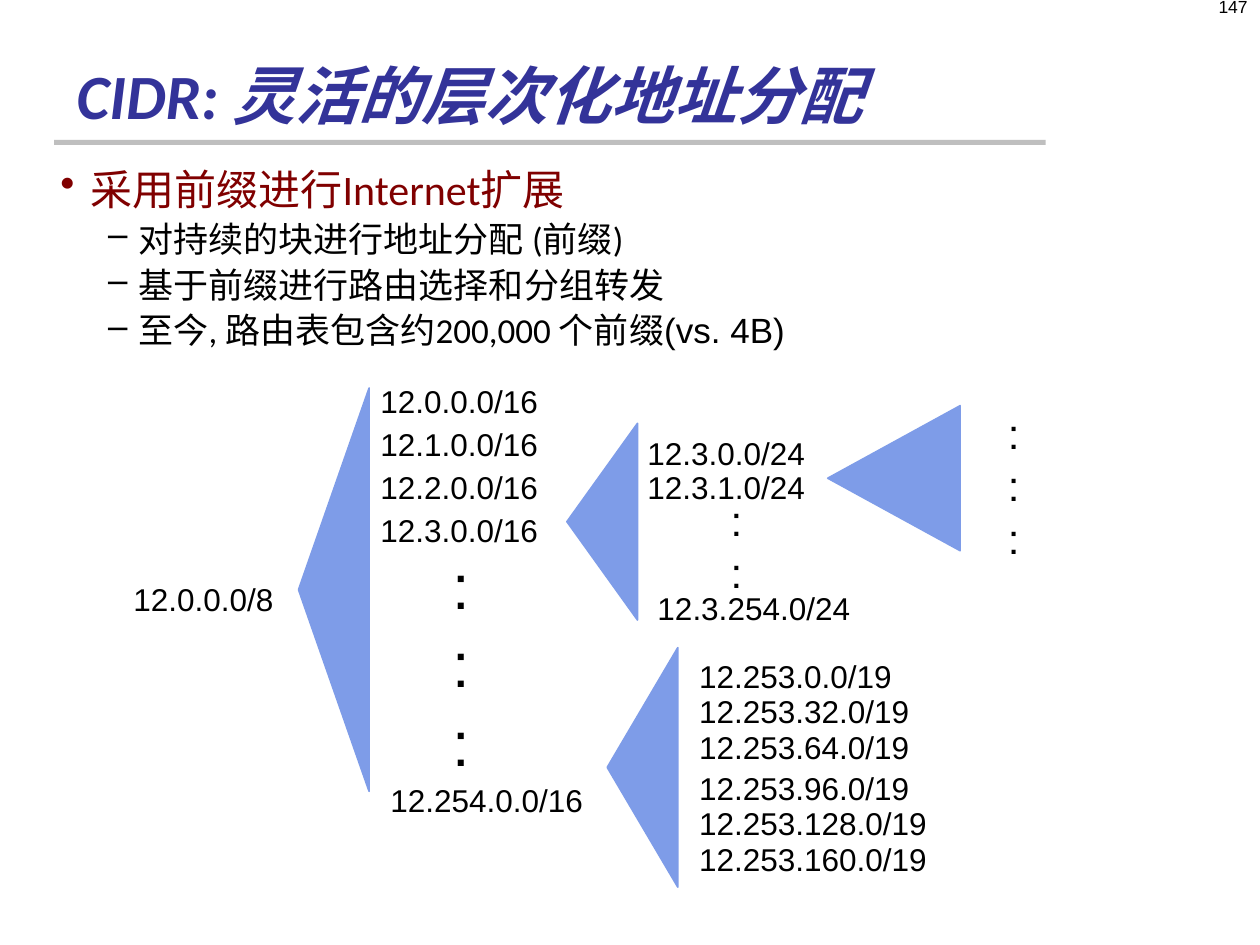
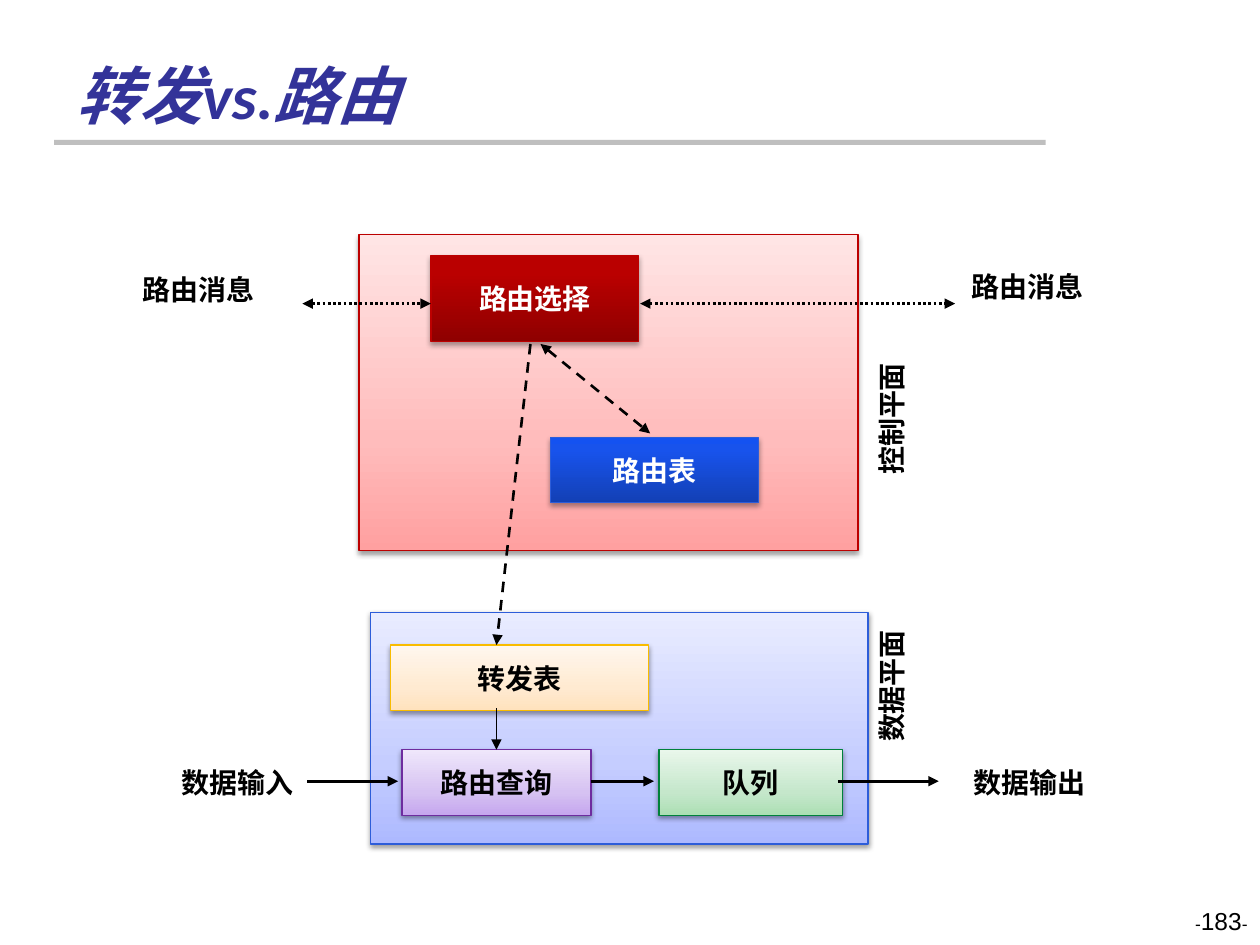
from copy import deepcopy
from dataclasses import dataclass

from lxml.etree import SubElement
from pptx import Presentation
from pptx.dml.color import RGBColor
from pptx.enum.dml import MSO_LINE
from pptx.enum.shapes import MSO_CONNECTOR, MSO_SHAPE
from pptx.enum.text import MSO_ANCHOR, PP_ALIGN
from pptx.oxml.ns import qn
from pptx.util import Emu, Pt

PX = 9144  # 100 px to the inch


@dataclass(frozen=True)
class Paint:
    """Gradient stops from bottom to top, outline and shadow strength."""
    stops: tuple
    outline: str
    shadow: tuple = (38, 1.6)


@dataclass(frozen=True)
class Theme:
    latin: str = "Calibri"
    sans: str = "Arial"
    cjk: str = "Noto Sans CJK SC"
    title: str = "333399"
    rule: str = "BFBFBF"
    heading: str = "800000"
    ink: str = "000000"
    white: str = "FFFFFF"
    wedge: str = "7E9CE8"
    title_size: int = 36
    heading_size: int = 24
    point_size: int = 20
    address_size: int = 18
    label_size: int = 16
    page_size: int = 14
    small_size: int = 10
    control: Paint = Paint(((0, "FFA0A0"), (35, "FFBCBC"), (100, "FFE5E5")), "BC0000")
    data: Paint = Paint(((0, "ADB9FF"), (35, "C5CDFF"), (100, "E9ECFF")), "2D5DD9")
    queue: Paint = Paint(((0, "ACDFB4"), (35, "C5E7CB"), (100, "E9F7EB")), "00813B")
    lookup: Paint = Paint(((0, "C5A6EE"), (35, "D6C2F2"), (100, "EFE7FB")), "6E2C9F")
    forwarding: Paint = Paint(((0, "FFE2BD"), (35, "FFEAD1"), (100, "FFF7EE")), "F9BC00")
    routing: Paint = Paint(((0, "8F0000"), (80, "BA0000"), (100, "BB0000")), "BC0000", (35, 1.8))
    table: Paint = Paint(((0, "1340B5"), (80, "1853EC"), (100, "1452F1")), "2D5DD9", (35, 1.8))


THEME = Theme()


@dataclass(frozen=True)
class Box:
    left: int
    top: int
    width: int
    height: int

    def inside(self, left, top, width=0, height=0):
        """Box whose position is counted from this box's corner."""
        return Box(self.left + left, self.top + top, width, height)

    def emu(self):
        return [Emu(n * PX) for n in (self.left, self.top, self.width, self.height)]


def style(run, size, colour=THEME.ink, font=THEME.sans, bold=False, italic=False):
    run.font.size = Pt(size)
    run.font.bold = bold
    run.font.italic = italic
    run.font.color.rgb = RGBColor.from_string(colour)
    run.font.name = font
    SubElement(run._r.get_or_add_rPr(), qn("a:ea"), typeface=font)


def text_frame(slide, box, anchor=MSO_ANCHOR.TOP, wrap=True):
    frame = slide.shapes.add_textbox(*box.emu()).text_frame
    frame.word_wrap = wrap
    frame.vertical_anchor = anchor
    return frame


def add_runs(paragraph, pieces):
    """Pieces are pairs of wording and style settings."""
    for wording, look in pieces:
        run = paragraph.add_run()
        run.text = wording
        style(run, **look)


def header(slide, pieces):
    """Grey rule and title; pieces are pairs of wording and font."""
    rule = slide.shapes.add_shape(MSO_SHAPE.RECTANGLE, *Box(43, 111, 787, 4).emu())
    rule.shadow.inherit = False
    rule.fill.solid()
    rule.fill.fore_color.rgb = RGBColor.from_string(THEME.rule)
    rule.line.fill.background()
    frame = text_frame(slide, Box(51, 28, 825, 78), MSO_ANCHOR.BOTTOM)
    frame.margin_bottom = Emu(PX)
    add_runs(frame.paragraphs[0], [
        (wording, dict(size=THEME.title_size, colour=THEME.title, font=font, bold=True, italic=True))
        for wording, font in pieces])


def page_number(slide, box, pieces):
    """Pieces are pairs of wording and type size."""
    paragraph = text_frame(slide, box).paragraphs[0]
    paragraph.alignment = PP_ALIGN.RIGHT
    add_runs(paragraph, [(wording, dict(size=size)) for wording, size in pieces])


# Prefix slide

def bullet(paragraph, mark, indent, before, pieces):
    props = paragraph._p.get_or_add_pPr()
    props.set("marL", str(indent * PX))
    props.set("indent", str(-24 * PX))
    paragraph.space_before = Pt(before)
    SubElement(props, qn("a:buChar"), char=mark)
    add_runs(paragraph, pieces)


def prefix_points(slide, box):
    frame = text_frame(slide, box)
    heading = dict(size=THEME.heading_size, colour=THEME.heading, font=THEME.latin)
    point = dict(size=THEME.point_size, font=THEME.latin)
    bullet(frame.paragraphs[0], "•", 24, 0, [("采用前缀进行Internet扩展", heading)])
    for pieces in (
        [("对持续的块进行地址分配 (前缀)", point)],
        [("基于前缀进行路由选择和分组转发", point)],
        [("至今, 路由表包含约200,000 个前缀", point), ("(vs. 4B)", dict(size=THEME.point_size))],
    ):
        bullet(frame.add_paragraph(), "–", 62, 2, pieces)


def wedge(slide, box):
    """Triangle that points left and fills the box."""
    shift = (box.width - box.height) // 2
    upright = box.inside(shift, -shift, box.height, box.width)
    triangle = slide.shapes.add_shape(MSO_SHAPE.ISOSCELES_TRIANGLE, *upright.emu())
    triangle.rotation = 270
    triangle.shadow.inherit = False
    triangle.fill.solid()
    triangle.fill.fore_color.rgb = RGBColor.from_string(THEME.wedge)
    triangle.line.color.rgb = RGBColor.from_string(THEME.wedge)
    triangle.line.width = Pt(1)


def addresses(slide, start, step, *prefixes):
    for row, prefix in enumerate(prefixes):
        width = round(15.5 * len(prefix) - 12)
        frame = text_frame(slide, start.inside(0, row * step, width, 43), MSO_ANCHOR.MIDDLE)
        frame.text = prefix
        style(frame.paragraphs[0].runs[0], THEME.address_size)


def ellipsis(slide, box, count, size):
    """Column of colons that stands for the prefixes left out."""
    frame = text_frame(slide, box, MSO_ANCHOR.MIDDLE)
    frame.text = "\n".join(":" * count)
    for row, paragraph in enumerate(frame.paragraphs):
        if row:
            paragraph.space_before = Pt(round(size * 0.05, 1))
        style(paragraph.runs[0], size)


def prefix_tree(slide, box):
    for left, top, width, height in (
        (141, 11, 56, 320), (354, 39, 56, 156), (386, 217, 56, 190), (561, 25, 105, 115),
    ):
        wedge(slide, box.inside(left, top, width, height))

    addresses(slide, box.inside(0, 157), 0, "12.0.0.0/8")
    addresses(slide, box.inside(196, 0), 34, *(f"12.{n}.0.0/16" for n in range(4)))
    addresses(slide, box.inside(204, 316), 0, "12.254.0.0/16")
    addresses(slide, box.inside(408, 41), 27, "12.3.0.0/24", "12.3.1.0/24")
    addresses(slide, box.inside(416, 164), 0, "12.3.254.0/24")
    for top, first in ((218, 0), (307, 96)):
        addresses(slide, box.inside(449, top), 28,
                  *(f"12.253.{first + 32 * n}.0/19" for n in range(3)))

    ellipsis(slide, box.inside(253, 134, 37, 190), 3, 36)
    ellipsis(slide, box.inside(474, 91, 31, 90), 2, 24)
    ellipsis(slide, box.inside(694, 23, 31, 130), 3, 24)


def prefix_slide(slide):
    header(slide, [("CIDR: ", THEME.latin), ("灵活的层次化地址分配", THEME.cjk)])
    page_number(slide, Box(767, -8, 233, 40), [("147", THEME.small_size)])
    prefix_tree(slide, Box(96, 297, 760, 405))
    prefix_points(slide, Box(38, 125, 962, 208))


# Forwarding and routing slide

def write_label(frame, wording, colour=THEME.ink):
    frame.word_wrap = False
    frame.vertical_anchor = MSO_ANCHOR.MIDDLE
    frame.text = wording
    frame.paragraphs[0].alignment = PP_ALIGN.CENTER
    style(frame.paragraphs[0].runs[0], THEME.label_size, colour, THEME.cjk, bold=True)


def label(slide, box, wording, rotation=0):
    caption = slide.shapes.add_textbox(*box.emu())
    caption.rotation = rotation
    write_label(caption.text_frame, wording)


def block(slide, box, paint, wording="", colour=THEME.ink):
    """Shaded rectangle with a soft shadow below it."""
    panel = slide.shapes.add_shape(MSO_SHAPE.RECTANGLE, *box.emu())
    panel.fill.gradient()
    panel.fill.gradient_angle = 90
    spectrum = panel._element.spPr.find(qn("a:gradFill")).find(qn("a:gsLst"))
    spectrum.append(deepcopy(spectrum[0]))
    for stop, (percent, shade) in zip(panel.fill.gradient_stops, paint.stops):
        stop.position = percent / 100
        stop.color.rgb = RGBColor.from_string(shade)
    panel.line.color.rgb = RGBColor.from_string(paint.outline)
    panel.line.width = Pt(0.75)

    panel.shadow.inherit = False
    opacity, distance = paint.shadow
    shadow = SubElement(panel._element.spPr.find(qn("a:effectLst")), qn("a:outerShdw"),
                        blurRad=str(Pt(3.1)), dist=str(Pt(distance)), dir="5400000",
                        rotWithShape="0")
    tint = SubElement(shadow, qn("a:srgbClr"), val=THEME.ink)
    SubElement(tint, qn("a:alpha"), val=str(opacity * 1000))
    if wording:
        write_label(panel.text_frame, wording, colour)


def arrow(slide, start, end, dash=None, both=False, weight=1.5):
    """Arrow between the corners of two boxes, pointing at end or both ways."""
    link = slide.shapes.add_connector(
        MSO_CONNECTOR.STRAIGHT, *start.emu()[:2], *end.emu()[:2])
    link.line.color.rgb = RGBColor.from_string(THEME.ink)
    link.line.width = Pt(weight)
    if dash:
        link.line.dash_style = dash
    outline = link.line._get_or_add_ln()
    if both:
        SubElement(outline, qn("a:headEnd"), type="triangle")
    SubElement(outline, qn("a:tailEnd"), type="triangle")
    SubElement(link._element.spPr, qn("a:effectLst"))


def control_plane(slide, box):
    block(slide, box, THEME.control)
    block(slide, box.inside(57, 17, 165, 68), THEME.routing, "路由选择", THEME.white)
    block(slide, box.inside(152, 161, 165, 52), THEME.table, "路由表", THEME.white)
    label(slide, box.inside(364, 128, 117, 37), "控制平面", 270)
    label(slide, box.inside(-183, 25, 111, 37), "路由消息")
    label(slide, box.inside(475, 23, 111, 37), "路由消息")
    for left, right in ((-45, 57), (223, 473)):
        arrow(slide, box.inside(left, 55), box.inside(right, 55), MSO_LINE.ROUND_DOT, both=True)
    arrow(slide, box.inside(144, 87), box.inside(231, 158), MSO_LINE.DASH, both=True)


def data_plane(slide, box):
    block(slide, box, THEME.data)
    block(slide, box.inside(16, 26, 205, 52), THEME.forwarding, "转发表")
    block(slide, box.inside(25, 109, 150, 52), THEME.lookup, "路由查询")
    block(slide, box.inside(229, 109, 146, 52), THEME.queue, "队列")
    label(slide, box.inside(358, 40, 111, 37), "数据平面", 270)
    label(slide, box.inside(-161, 116, 111, 37), "数据输入")
    label(slide, box.inside(456, 116, 134, 37), "数据输出")
    for left, right in ((-50, 22), (175, 225), (371, 451)):
        arrow(slide, box.inside(left, 134), box.inside(right, 134))
    arrow(slide, box.inside(100, 76), box.inside(100, 109), weight=1)


def routing_slide(slide):
    header(slide, [("转发vs.路由", THEME.latin)])
    page_number(slide, Box(767, 714, 233, 50),
                [("-", THEME.small_size), ("183", THEME.page_size), ("-", THEME.small_size)])
    control = Box(285, 186, 396, 251)
    data = Box(294, 486, 395, 184)
    control_plane(slide, control)
    data_plane(slide, data)
    arrow(slide, control.inside(136, 87), data.inside(100, 26), MSO_LINE.DASH)


def main():
    deck = Presentation()
    deck.slide_width, deck.slide_height = Emu(1000 * PX), Emu(750 * PX)
    for build in (prefix_slide, routing_slide):
        build(deck.slides.add_slide(deck.slide_layouts[6]))
    deck.save("out.pptx")


if __name__ == "__main__":
    main()
